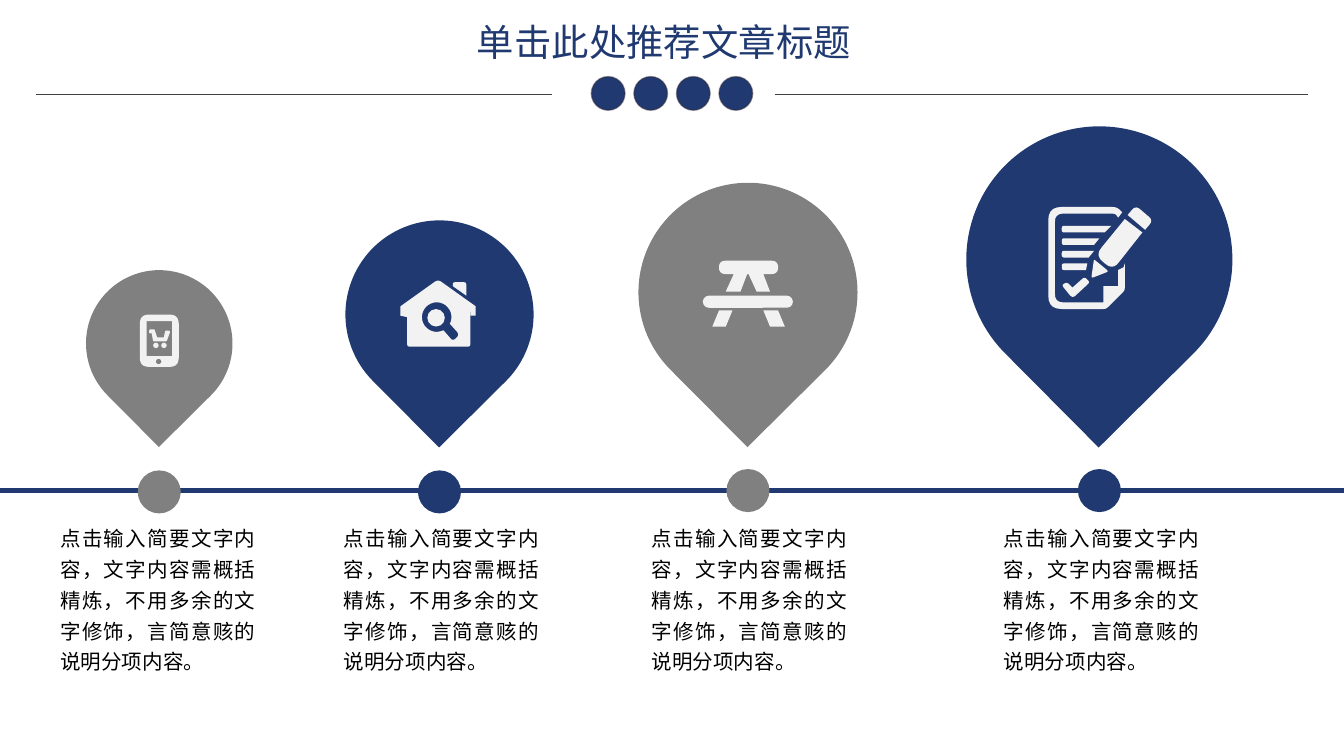
from math import cos, dist, radians, sin

from lxml.etree import SubElement
from pptx import Presentation
from pptx.dml.color import RGBColor
from pptx.enum.shapes import MSO_CONNECTOR, MSO_SHAPE
from pptx.enum.text import MSO_AUTO_SIZE, PP_ALIGN
from pptx.oxml.ns import qn
from pptx.util import Inches, Pt

NAVY = RGBColor(0x20, 0x3A, 0x71)
GRAY = RGBColor(0x80, 0x80, 0x80)
PALE = RGBColor(0xF2, 0xF2, 0xF2)
CHARCOAL = RGBColor(0x40, 0x40, 0x40)
PLUM = RGBColor(0x2F, 0x26, 0x37)
BLACK = RGBColor(0, 0, 0)
UNITS = 1000
TITLE = "单击此处推荐文章标题"
BODY = "点击输入简要文字内容，文字内容需概括精炼，不用多余的文字修饰，言简意赅的说明分项内容。"


def paint(shape, color):
    """Give a shape a flat fill with no outline or shadow."""
    shape.shadow.inherit = False
    shape.fill.solid()
    shape.fill.fore_color.rgb = color
    shape.line.fill.background()


def add_preset(shapes, kind, left, top, width, height, color):
    """Add a flat preset shape."""
    shape = shapes.add_shape(kind, Inches(left), Inches(top), Inches(width), Inches(height))
    paint(shape, color)
    return shape


def add_circle(shapes, left, top, size, color):
    """Add a flat circle."""
    return add_preset(shapes, MSO_SHAPE.OVAL, left, top, size, size, color)


def add_pill(shapes, left, top, width, height):
    """Add a pale bar with fully rounded ends."""
    pill = add_preset(shapes, MSO_SHAPE.ROUNDED_RECTANGLE, left, top, width, height, PALE)
    pill.adjustments[0] = 0.5


def add_rule(shapes, start, end, y, color, weight):
    """Add a horizontal line."""
    rule = shapes.add_connector(MSO_CONNECTOR.STRAIGHT, Inches(start), Inches(y), Inches(end), Inches(y))
    rule.line.color.rgb = color
    rule.line.width = Pt(weight)
    SubElement(rule._element.spPr, qn("a:effectLst"))


def add_text(page, text, left, top, width, height, *, size, font, color, wrap=True, align=None, spacing=None):
    """Add a text box holding one formatted paragraph."""
    box = page.shapes.add_textbox(Inches(left), Inches(top), Inches(width), Inches(height))
    frame = box.text_frame
    frame.word_wrap = wrap
    frame.auto_size = MSO_AUTO_SIZE.SHAPE_TO_FIT_TEXT
    para = frame.paragraphs[0]
    para.alignment = align
    para.line_spacing = spacing
    span = para.add_run()
    span.text = text
    span.font.size = Pt(size)
    span.font.color.rgb = color
    span.font.name = font
    SubElement(span._r.get_or_add_rPr(), qn("a:ea"), typeface=font)


def arc(x, y, radius, start=0, end=360):
    """Return points along a circular arc, angles in degrees."""
    steps = 32
    angles = [radians(start + (end - start) * i / steps) for i in range(steps + 1)]
    return [(x + radius * cos(a), y + radius * sin(a)) for a in angles]


def rounded(corners):
    """Return a polygon's points, rounding each corner that has a third value as radius."""
    points = []
    for i, (x, y, *radius) in enumerate(corners):
        if not radius:
            points.append((x, y))
            continue
        ends = []
        for near in (corners[i - 1], corners[(i + 1) % len(corners)]):
            share = min(radius[0] / dist((x, y), near[:2]), 0.5)
            ends.append((x + (near[0] - x) * share, y + (near[1] - y) * share))
        (ax, ay), (bx, by) = ends
        for t in (0, 0.2, 0.4, 0.6, 0.8, 1):
            a, b, c = (1 - t) ** 2, 2 * t * (1 - t), t * t
            points.append((a * ax + b * x + c * bx, a * ay + b * y + c * by))
    return points


def add_outline(shapes, *contours):
    """Add a pale freeform; contours after the first cut holes."""
    scaled = [[(x * UNITS, y * UNITS) for x, y in rounded(c)] for c in contours]
    builder = shapes.build_freeform(*scaled[0][0], scale=Inches(1) / UNITS)
    for i, points in enumerate(scaled):
        if i:
            builder.move_to(*points[0])
        builder.add_line_segments(points[1:], close=True)
    paint(builder.convert_to_shape(), PALE)


def draw_phone(shapes):
    """Draw a phone showing a shopping cart."""
    body = [(1.04, 2.34, 0.07), (1.33, 2.34, 0.07), (1.33, 2.73, 0.07), (1.04, 2.73, 0.07)]
    screen = [(1.09, 2.39), (1.28, 2.39), (1.28, 2.65), (1.09, 2.65)]
    add_outline(shapes, body, screen, arc(1.18, 2.69, 0.02))
    add_outline(shapes, [(1.11, 2.45, 0.02), (1.15, 2.45, 0.01), (1.17, 2.51), (1.22, 2.51),
                         (1.23, 2.46, 0.01), (1.27, 2.46, 0.02), (1.24, 2.54, 0.01),
                         (1.14, 2.54, 0.01), (1.13, 2.48), (1.11, 2.48, 0.01)])
    for left in (1.14, 1.2):
        add_circle(shapes, left, 2.55, 0.04, PALE)


def draw_house(shapes):
    """Draw a house with a magnifier cut into it."""
    add_outline(shapes, [(2.98, 2.28), (3.26, 2.08, 0.03), (3.54, 2.28), (3.54, 2.35), (3.5, 2.35),
                         (3.5, 2.32), (3.26, 2.15), (3.03, 2.32), (3.03, 2.36), (2.98, 2.35)])
    add_outline(shapes, [(3.37, 2.1, 0.02), (3.47, 2.1, 0.02), (3.47, 2.2), (3.37, 2.13)])
    add_circle(shapes, 3.18, 2.3, 0.13, PALE)
    walls = [(3.03, 2.3), (3.26, 2.13, 0.02), (3.5, 2.3), (3.5, 2.58, 0.02), (3.03, 2.58, 0.02)]
    handle = [(3.42, 2.49, 0.03), (3.37, 2.54, 0.03)]
    add_outline(shapes, walls, arc(3.25, 2.36, 0.11, 63, 387) + handle)


def draw_table(shapes):
    """Draw a picnic table."""
    add_pill(shapes, 5.23, 2.2, 0.67, 0.09)
    add_outline(shapes, [(5.35, 1.94, 0.05), (5.79, 1.94, 0.05), (5.79, 2.04, 0.05), (5.68, 2.04),
                         (5.73, 2.17), (5.63, 2.17), (5.57, 2.04), (5.56, 2.04), (5.51, 2.17),
                         (5.4, 2.17), (5.46, 2.04), (5.35, 2.04, 0.05)])
    add_outline(shapes, [(5.35, 2.31), (5.45, 2.31), (5.4, 2.43), (5.3, 2.43)])
    add_outline(shapes, [(5.68, 2.31), (5.79, 2.31), (5.84, 2.43), (5.73, 2.43)])


def draw_form(shapes):
    """Draw a checked form with a pencil."""
    add_outline(shapes, [(8.14, 1.93, 0.01), (8.25, 2.02, 0.02), (8.12, 2.07, 0.02)])
    add_outline(shapes, [(8.37, 1.63), (8.5, 1.73), (8.28, 2.01, 0.07), (8.15, 1.9, 0.07)])
    add_outline(shapes, [(8.39, 1.6), (8.45, 1.53, 0.04), (8.58, 1.64, 0.04), (8.52, 1.71)])
    add_outline(shapes, [(7.9, 2.12, 0.02), (7.94, 2.1, 0.02), (7.98, 2.14), (8.07, 2.06, 0.02),
                         (8.11, 2.1, 0.02), (7.98, 2.22, 0.03)])
    add_outline(shapes, [(8.37, 1.96), (8.37, 2.16, 0.02), (8.23, 2.3, 0.02), (7.8, 2.3, 0.1),
                         (7.8, 1.54, 0.1), (8.31, 1.54, 0.04), (8.35, 1.58), (8.32, 1.62),
                         (8.3, 1.59, 0.02), (7.85, 1.59, 0.06), (7.85, 2.25, 0.06), (8.21, 2.25),
                         (8.21, 2.13), (8.32, 2.13), (8.32, 2.01), (8.36, 1.99)])
    for i, (upper, lower) in enumerate([(8.27, 8.22), (8.18, 8.14), (8.14, 8.1), (8.09, 8.08)]):
        top = 1.68 + 0.28 / 3 * i
        add_outline(shapes, [(7.9, top, 0.02), (upper, top), (lower, top + 0.05), (7.9, top + 0.05, 0.02)])


def draw_header(page):
    """Draw the title with its divider and dots."""
    rules = page.shapes.add_group_shape().shapes
    for start, end in ((5.77, 9.73), (0.27, 4.11)):
        add_rule(rules, start, end, 0.7, CHARCOAL, 0.5)
    dots = page.shapes.add_group_shape().shapes
    for i in range(4):
        dot = add_circle(dots, 4.4 + 0.95 / 3 * i, 0.57, 0.25, NAVY)
        dot.line.color.rgb = PLUM
        dot.line.width = Pt(0.75)
        tint = dot.line._ln.find(".//" + qn("a:srgbClr"))
        SubElement(tint, qn("a:alpha"), val="50000")
    add_text(page, TITLE, 3.45, 0.09, 3.01, 0.44, size=20, font="Noto Sans CJK SC", color=NAVY, wrap=False)


def draw_milestone(page, left, top, size, dot_top, text_left, color, draw_icon):
    """Draw a pin with its icon, timeline dot and description."""
    pin = add_preset(page.shapes, MSO_SHAPE.TEAR, left, top, size, size, color)
    pin.rotation = 135.2
    dot_size = 0.32
    add_circle(page.shapes, left + (size - dot_size) / 2, dot_top, dot_size, color)
    draw_icon(page.shapes.add_group_shape().shapes)
    add_text(page, BODY, text_left, 3.82, 1.65, 1.24, size=11, font="Noto Sans CJK JP",
             color=BLACK, align=PP_ALIGN.JUSTIFY, spacing=1.25)


def main():
    """Build the slide and save the deck."""
    deck = Presentation()
    deck.slide_width = Inches(10)
    deck.slide_height = deck.slide_width * 9 // 16
    page = deck.slides.add_slide(deck.slide_layouts[6])
    draw_header(page)
    add_rule(page.shapes, 0, 10, 3.65, NAVY, 2.25)
    milestones = [
        (0.64, 2.01, 1.09, 3.5, 0.35, GRAY, draw_phone),
        (2.57, 1.64, 1.4, 3.5, 2.46, NAVY, draw_house),
        (4.75, 1.36, 1.63, 3.49, 4.75, GRAY, draw_table),
        (7.19, 0.94, 1.98, 3.49, 7.37, NAVY, draw_form),
    ]
    for milestone in milestones:
        draw_milestone(page, *milestone)
    deck.save("out.pptx")


if __name__ == "__main__":
    main()
